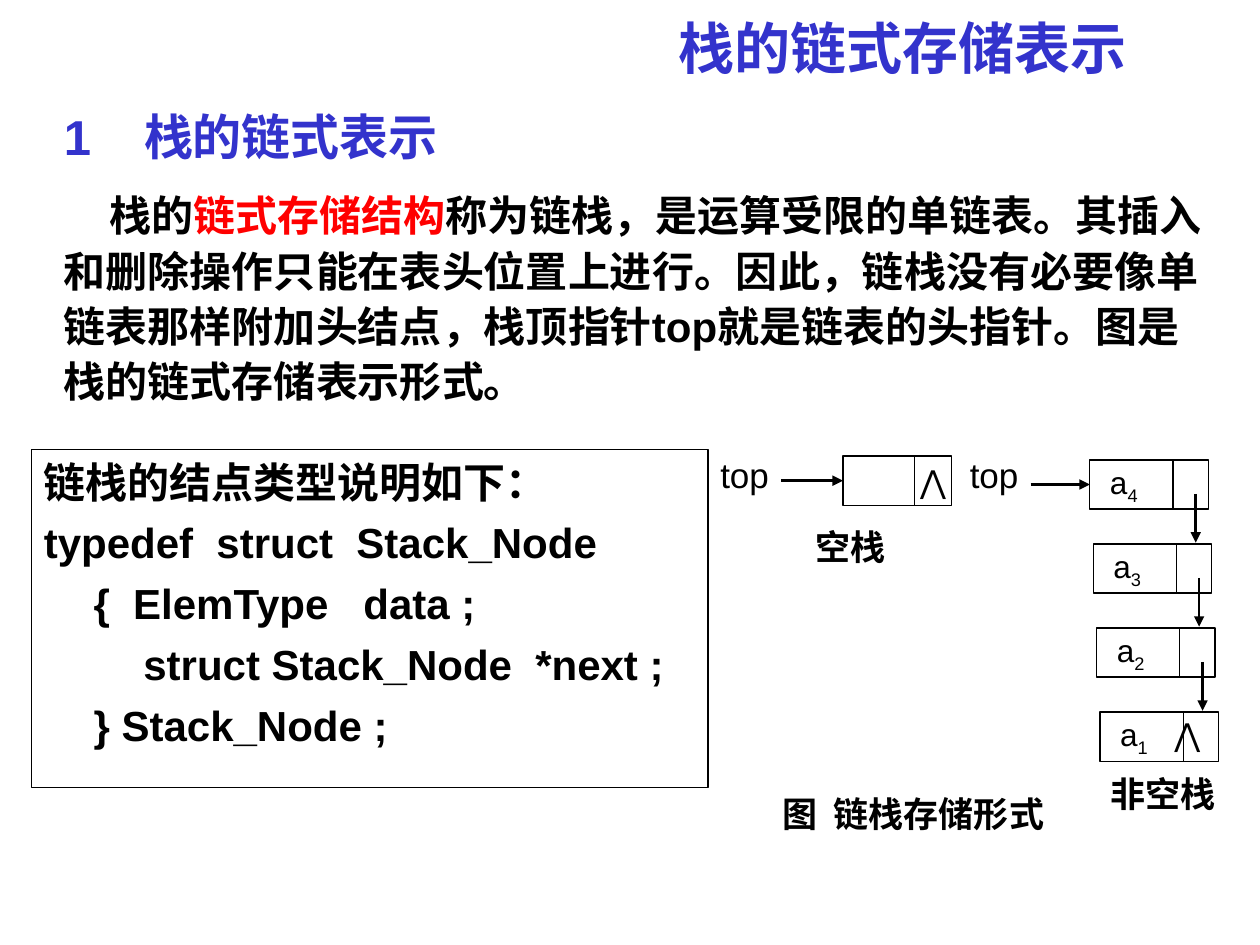
import pptx
import pptx.util
import pptx.dml.color
import pptx.enum.shapes
import pptx.enum.text
import pptx.oxml.ns
from lxml import etree

BLUE = pptx.dml.color.RGBColor(0x33, 0x33, 0xCC)
RED = pptx.dml.color.RGBColor(0xFF, 0, 0)
BLACK = pptx.dml.color.RGBColor(0, 0, 0)
LATIN, HAN = "Arial", "Noto Sans CJK SC"
COLUMNS, ROWS = 100, 75
UNIT = pptx.util.Inches(10) // COLUMNS
ALIGN = pptx.enum.text.PP_ALIGN
ANCHOR = pptx.enum.text.MSO_ANCHOR
STRAIGHT = pptx.enum.shapes.MSO_CONNECTOR.STRAIGHT
qn = pptx.oxml.ns.qn


def grid(*lengths):
    return [round(length * UNIT) for length in lengths]


def add_run(paragraph, text, size, color=BLACK, bold=False, subscript=False):
    run = paragraph.add_run()
    run.text = text
    run.font.size = pptx.util.Pt(size)
    run.font.name = LATIN
    run.font.bold = bold
    run.font.color.rgb = color
    properties = run._r.get_or_add_rPr()
    etree.SubElement(properties, qn("a:ea")).set("typeface", HAN)
    if subscript:
        properties.set("baseline", "-25000")


def set_tab(paragraph, position):
    tabs = etree.SubElement(paragraph._p.get_or_add_pPr(), qn("a:tabLst"))
    tab = etree.SubElement(tabs, qn("a:tab"))
    tab.set("pos", str(grid(position)[0]))
    tab.set("algn", "l")


def add_label(slide, box, text, size=20, color=BLACK, bold=True,
              align=ALIGN.CENTER, side_margin=0):
    frame = slide.shapes.add_textbox(*grid(*box)).text_frame
    frame.word_wrap = side_margin > 0
    frame.margin_left, frame.margin_right = grid(side_margin, side_margin)
    frame.vertical_anchor = ANCHOR.MIDDLE
    paragraph = frame.paragraphs[0]
    paragraph.alignment = align
    add_run(paragraph, text, size, color, bold)


def add_frame(slide, box):
    outline = slide.shapes.add_shape(
        pptx.enum.shapes.MSO_SHAPE.RECTANGLE, *grid(*box))
    outline.shadow.inherit = False
    outline.fill.background()
    outline.line.color.rgb = BLACK
    outline.line.width = pptx.util.Pt(0.75)
    return outline


def add_line(slide, start, end, width=0.75, arrow=False):
    line = slide.shapes.add_connector(STRAIGHT, *grid(*start, *end))
    line.line.color.rgb = BLACK
    line.line.width = pptx.util.Pt(width)
    if arrow:
        etree.SubElement(line.line._get_or_add_ln(), qn("a:tailEnd")).set("type", "triangle")
    etree.SubElement(line._element.spPr, qn("a:effectLst"))
    return line


def add_node(slide, box, divider):
    left, top, width, height = box
    node = add_frame(slide, box)
    add_line(slide, (left + divider, top), (left + divider, top + height))
    frame = node.text_frame
    frame.word_wrap = False
    frame.vertical_anchor = ANCHOR.MIDDLE
    return node


def add_top_pointer(slide, box, node):
    left, top, width, height = box
    add_label(slide, box, "top", bold=False)
    middle = (node.top + node.height / 2) / UNIT
    arrow = add_line(slide, (left + width, middle), (node.left / UNIT, middle), 1.5, True)
    arrow.end_connect(node, 1)


def add_explanation(slide, box):
    frame = slide.shapes.add_textbox(*grid(*box)).text_frame
    frame.word_wrap = True
    heading = frame.paragraphs[0]
    heading.line_spacing = 1.1
    set_tab(heading, 6.35)
    add_run(heading, "1\t", 28, BLUE, True)
    add_run(heading, "栈的链式表示", 28, BLUE, True)

    body = frame.add_paragraph()
    body.line_spacing = 1.1
    body.space_before = pptx.util.Pt(11)
    body._p.get_or_add_pPr().set("indent", str(grid(3.6)[0]))
    for text, color in (
        ("栈的", BLACK),
        ("链式存储结构", RED),
        ("称为链栈，是运算受限的单链表。其插入和删除操作只能在表头位置上进行。"
         "因此，链栈没有必要像单链表那样附加头结点，栈顶指针", BLACK),
        ("top", BLACK),
        ("就是链表的头指针。图是栈的链式存储表示形式。", BLACK),
    ):
        add_run(body, text, 24, color, True)


def add_type_definition(slide, box):
    frame = add_frame(slide, box).text_frame
    frame.word_wrap = True
    frame.vertical_anchor = ANCHOR.TOP
    for index, (text, level) in enumerate((
        ("链栈的结点类型说明如下：", 0),
        ("typedef  struct  Stack_Node", 0),
        ("{  ElemType   data ;", 1),
        ("struct Stack_Node  *next ;", 2),
        ("} Stack_Node ;", 1),
    )):
        code = frame.add_paragraph() if index else frame.paragraphs[0]
        code.alignment = ALIGN.LEFT
        code.level = level
        properties = code._p.get_or_add_pPr()
        properties.set("marL", str(grid(3.95 * level)[0]))
        properties.set("indent", "0")
        if index:
            code.space_before = pptx.util.Pt(6)
        add_run(code, text, 24, bold=True)


def add_empty_stack(slide, box):
    left, top, width, height = box
    divider = 5.7
    node = add_node(slide, (left + 10.7, top + 0.5, 8.6, 3.9), divider)
    frame = node.text_frame
    frame.margin_left, frame.margin_right = grid(divider, 0)
    frame.paragraphs[0].alignment = ALIGN.CENTER
    add_run(frame.paragraphs[0], "⋀", 18)
    add_top_pointer(slide, (left, top, 5.8, 3.9), node)
    add_label(slide, (left + 7.4, top + 5.7, 7.8, 3.9), "空栈")


def add_filled_stack(slide, box):
    left, top, width, height = box
    count, step_x, step_y = 4, 0.27, 6.67
    for index in range(count):
        x, y = left + 10.5 + index * step_x, top + 0.8 + index * step_y
        node = add_node(slide, (x, y, 9.4, 3.9), 6.6)
        node.text_frame.margin_left = grid(1.6)[0]
        element = node.text_frame.paragraphs[0]
        element.alignment = ALIGN.LEFT
        last = index == count - 1
        if last:
            set_tab(element, 4.3)
        add_run(element, "a", 18)
        add_run(element, str(count - index), 18, subscript=True)
        if last:
            add_run(element, "\t⋀", 18)
        else:
            add_line(slide, (x + 8.4, y + 2.7), (x + 8.4, y + step_y - 0.1), 1.5, True)
        if index == 0:
            add_top_pointer(slide, (left, top, 5.8, 3.9), node)
    add_label(slide, (left + 11.4, top + height - 3.9, 9.8, 3.9), "非空栈")


def main():
    presentation = pptx.Presentation()
    presentation.slide_width, presentation.slide_height = grid(COLUMNS, ROWS)
    slide = presentation.slides.add_slide(presentation.slide_layouts[6])
    add_label(slide, (50.8, 0.8, 39.6, 5.8), "栈的链式存储表示",
              32, BLUE, align=ALIGN.RIGHT, side_margin=1)
    add_explanation(slide, (4.1, 7.5, 93.4, 26.7))
    add_type_definition(slide, (2.5, 35.7, 53.7, 26.8))
    add_empty_stack(slide, (56.2, 35.7, 19.3, 9.6))
    add_filled_stack(slide, (76, 35.7, 21.2, 29.2))
    add_label(slide, (57.9, 62.5, 29.2, 4.2), "图  链栈存储形式", side_margin=1)
    presentation.save("out.pptx")


if __name__ == "__main__":
    main()
